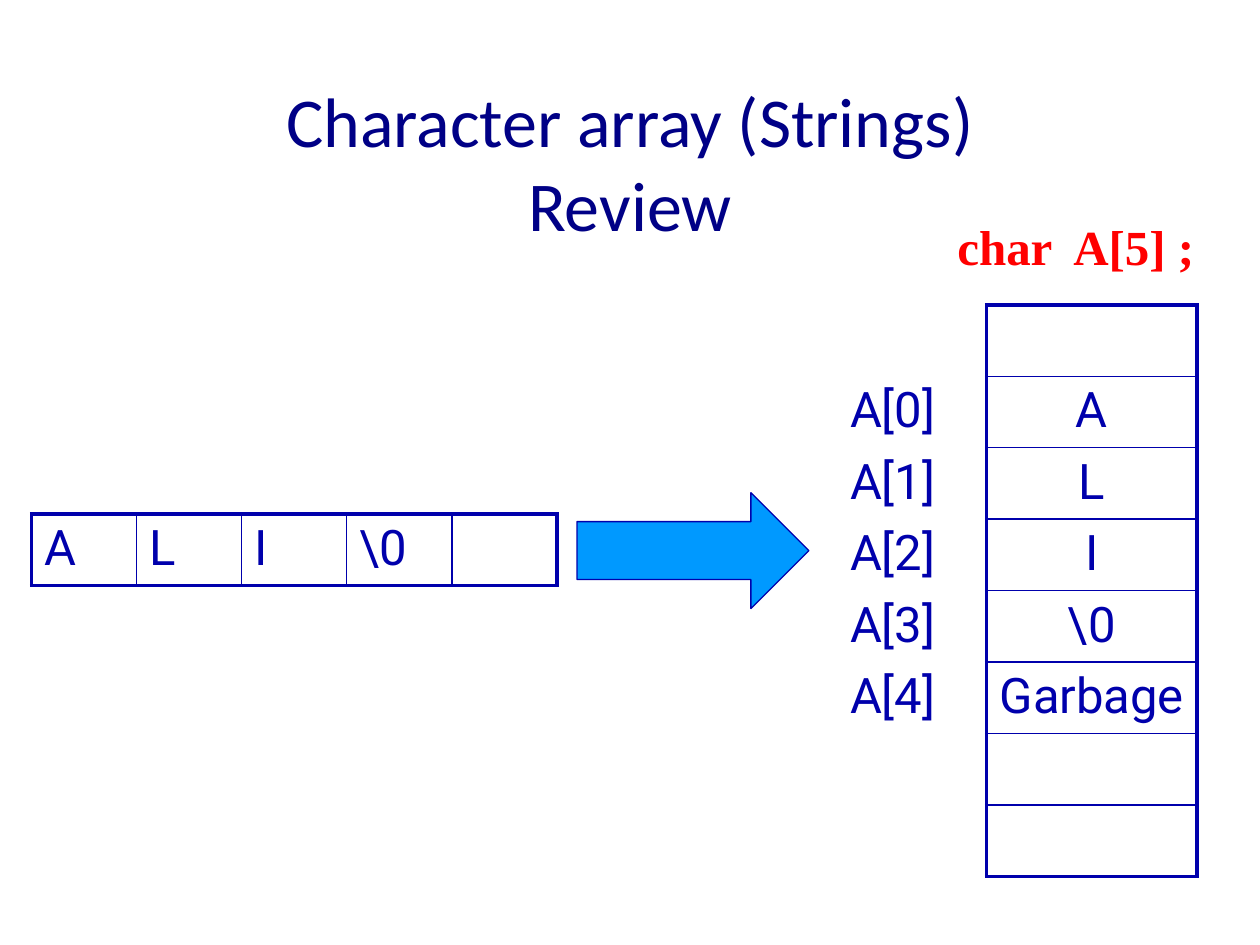
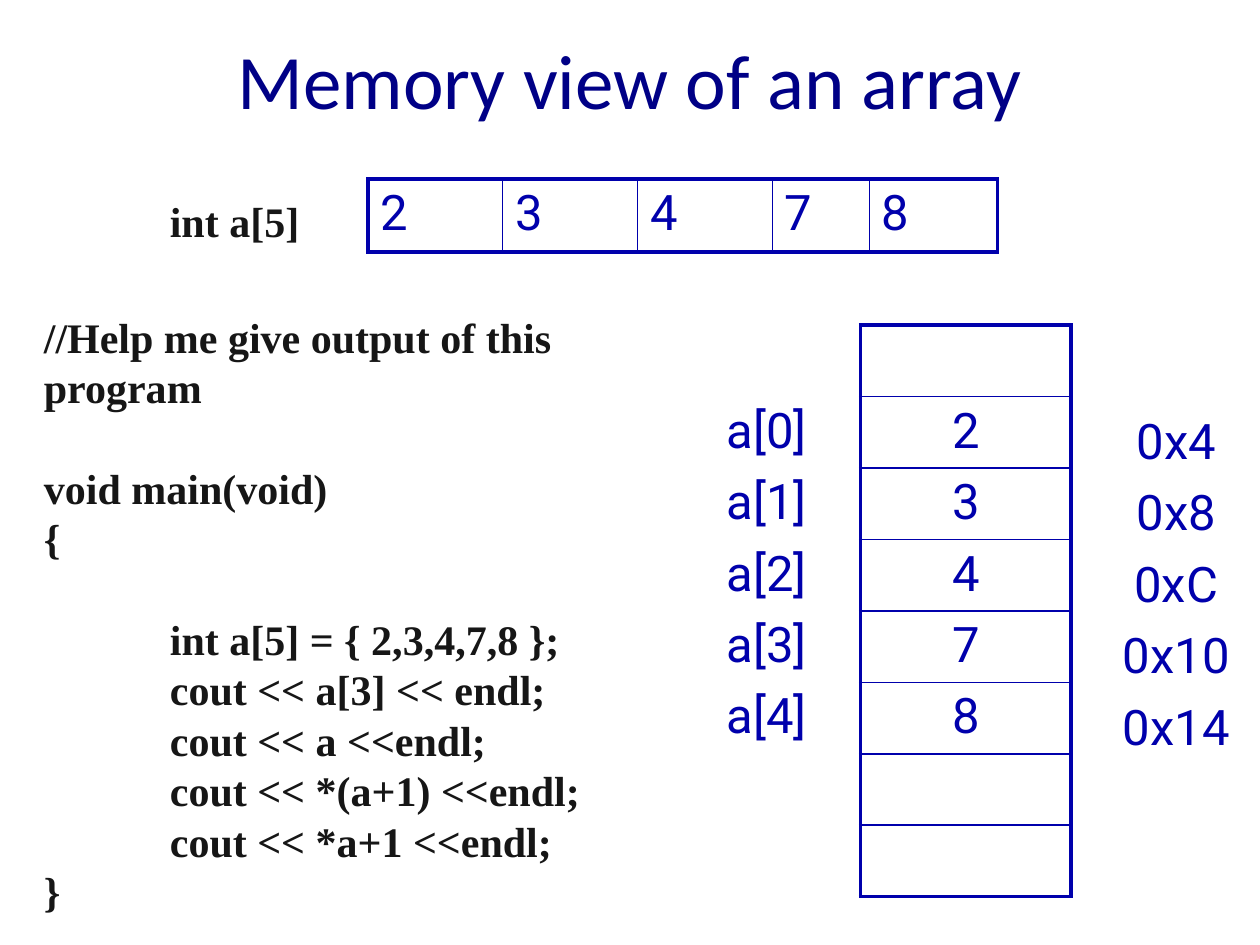
from dataclasses import dataclass
from typing import Optional

from lxml import etree
from pptx import Presentation
from pptx.dml.color import RGBColor
from pptx.enum.shapes import MSO_SHAPE
from pptx.enum.text import MSO_ANCHOR, PP_ALIGN
from pptx.oxml.ns import qn
from pptx.util import Inches, Pt

# Shared style
TITLE_BLUE = "000086"
CELL_BLUE = "0000AC"
ARROW_BLUE = "0099FF"
RED = "FF0000"
CODE_BLACK = "161616"
TITLE_FONT, CELL_FONT, CODE_FONT = "Calibri", "Roboto", "Times New Roman"
CELL_SIZE = 28
OUTER_LINE, INNER_LINE = 2.25, 1
LINE_HEIGHT = 1.2
CODE_TAB = 1
MEMORY_ROWS = 8
ROW_HEIGHT = 4.53 / MEMORY_ROWS
MEMORY_WIDTH, LABEL_WIDTH = 1.67, 1.33


@dataclass
class Grid:
    left: float
    top: float
    widths: list[float]
    rows: list[list[str]]
    row_height: float = ROW_HEIGHT
    alignment: PP_ALIGN = PP_ALIGN.CENTER
    bordered: bool = True


@dataclass
class CodeBox:
    left: float
    top: float
    width: float
    height: float
    lines: list[str]
    size: int = 24
    color: str = CODE_BLACK
    wrap: bool = True


def rgb(color: str) -> RGBColor:
    return RGBColor.from_string(color)


def style_font(paragraph, name: str, size: float, color: str, bold: bool = False) -> None:
    font = paragraph.font
    font.name, font.size, font.bold = name, Pt(size), bold
    font.color.rgb = rgb(color)


def add_title(slide, text: str, top: float, size: float) -> None:
    shape = slide.shapes.add_textbox(0, Inches(top), Inches(10), Inches(1.25))
    frame = shape.text_frame
    frame.word_wrap = True
    frame.vertical_anchor = MSO_ANCHOR.MIDDLE
    paragraph = frame.paragraphs[0]
    paragraph.text = text
    paragraph.alignment = PP_ALIGN.CENTER
    style_font(paragraph, TITLE_FONT, size, TITLE_BLUE)


def add_border(cell, position: int, tag: str, width: Optional[float]) -> None:
    """Draw one side of a cell, or hide it when width is None."""
    line = etree.Element(qn(tag))
    if width is None:
        etree.SubElement(line, qn("a:noFill"))
    else:
        line.set("w", str(Pt(width)))
        fill = etree.SubElement(line, qn("a:solidFill"))
        etree.SubElement(fill, qn("a:srgbClr"), val=CELL_BLUE)
    cell._tc.get_or_add_tcPr().insert(position, line)


def add_grid(slide, grid: Grid) -> None:
    row_count, column_count = len(grid.rows), len(grid.widths)
    table = slide.shapes.add_table(
        row_count, column_count, Inches(grid.left), Inches(grid.top),
        Inches(sum(grid.widths)), Inches(grid.row_height * row_count)).table
    table.first_row = table.horz_banding = False
    for column, width in zip(table.columns, grid.widths):
        column.width = Inches(width)
    for row_index, values in enumerate(grid.rows):
        table.rows[row_index].height = Inches(grid.row_height)
        for column_index, value in enumerate(values):
            cell = table.cell(row_index, column_index)
            cell.fill.background()
            # Thick lines around the table, thin lines inside it
            on_edge = {
                "a:lnL": column_index == 0,
                "a:lnR": column_index == column_count - 1,
                "a:lnT": row_index == 0,
                "a:lnB": row_index == row_count - 1,
            }
            for position, (tag, outer) in enumerate(on_edge.items()):
                width = OUTER_LINE if outer else INNER_LINE
                add_border(cell, position, tag, width if grid.bordered else None)
            if value:
                paragraph = cell.text_frame.paragraphs[0]
                paragraph.text = value
                paragraph.alignment = grid.alignment
                style_font(paragraph, CELL_FONT, CELL_SIZE, CELL_BLUE)


def memory_column(left: float, top: float, values: list[str], bordered: bool = True) -> Grid:
    """A column with one empty row above the values and the rest below."""
    padded = [""] + values + [""] * (MEMORY_ROWS - 1 - len(values))
    width = MEMORY_WIDTH if bordered else LABEL_WIDTH
    return Grid(left, top, [width], [[value] for value in padded], bordered=bordered)


def index_labels(name: str) -> list[str]:
    return [f"{name}[{index}]" for index in range(5)]


def add_tab_stop(paragraph, position: float) -> None:
    tabs = etree.SubElement(paragraph._p.get_or_add_pPr(), qn("a:tabLst"))
    etree.SubElement(tabs, qn("a:tab"), pos=str(Inches(position)), algn="l")


def add_code(slide, box: CodeBox) -> None:
    shape = slide.shapes.add_textbox(
        Inches(box.left), Inches(box.top), Inches(box.width), Inches(box.height))
    frame = shape.text_frame
    frame.word_wrap = box.wrap
    line_height = Pt(box.size * LINE_HEIGHT)
    paragraph, gap = None, False
    for line in box.lines:
        # An empty line becomes space before the next one
        if not line:
            gap = True
            continue
        paragraph = frame.add_paragraph() if paragraph else frame.paragraphs[0]
        paragraph.text = line
        if line.startswith("\t"):
            add_tab_stop(paragraph, CODE_TAB)
        paragraph.line_spacing = line_height
        if gap:
            paragraph.space_before = line_height
        gap = False
        style_font(paragraph, CODE_FONT, box.size, box.color, bold=True)


def add_arrow(slide) -> None:
    shape = slide.shapes.add_shape(
        MSO_SHAPE.RIGHT_ARROW, Inches(4.58), Inches(3.91), Inches(1.84), Inches(0.92))
    shape.shadow.inherit = False
    shape.fill.solid()
    shape.fill.fore_color.rgb = rgb(ARROW_BLUE)
    shape.line.color.rgb = rgb(CELL_BLUE)
    shape.line.width = Pt(0.75)


def build_strings_slide(slide) -> None:
    letters = ["A", "L", "I", "\\0"]
    add_title(slide, "Character array (Strings)\vReview", 0.66, 40)
    add_grid(slide, Grid(0.25, 4.08, [4.17 / 5] * 5, [letters + [""]],
                         alignment=PP_ALIGN.LEFT))
    add_grid(slide, memory_column(7.83, 2.42, letters + ["Garbage"]))
    add_grid(slide, memory_column(6.42, 2.42, index_labels("A"), bordered=False))
    add_arrow(slide)
    add_code(slide, CodeBox(7.5, 1.67, 2.2, 0.57, ["char  A[5] ;"],
                            size=28, color=RED, wrap=False))


def build_memory_slide(slide) -> None:
    numbers = ["2", "3", "4", "7", "8"]
    addresses = ["0x4", "0x8", "0xC", "0x10", "0x14"]
    program = [
        "//Help me give output of this program",
        "",
        "void main(void)",
        "{",
        "",
        "\tint a[5] = { 2,3,4,7,8 };",
        "\tcout << a[3] << endl;",
        "\tcout << a <<endl;",
        "\tcout << *(a+1) <<endl;",
        "\tcout << *a+1 <<endl;",
        "}",
    ]
    add_title(slide, "Memory view of an array", 0, 44)
    add_grid(slide, Grid(2.92, 1.42, [1.07, 1.07, 1.07, 0.77, 1.02], [numbers],
                         row_height=0.58, alignment=PP_ALIGN.LEFT))
    add_grid(slide, memory_column(6.83, 2.58, numbers))
    add_grid(slide, memory_column(5.42, 2.58, index_labels("a"), bordered=False))
    add_code(slide, CodeBox(1.25, 1.5, 2.06, 0.5, ["int a[5]"]))
    add_code(slide, CodeBox(0.25, 2.42, 5.25, 4.89, program))
    add_grid(slide, memory_column(8.67, 2.67, addresses, bordered=False))


def main() -> None:
    presentation = Presentation()
    presentation.slide_width, presentation.slide_height = Inches(10), Inches(7.5)
    blank_layout = presentation.slide_layouts[6]
    for build in (build_strings_slide, build_memory_slide):
        build(presentation.slides.add_slide(blank_layout))
    presentation.save("out.pptx")


if __name__ == "__main__":
    main()
